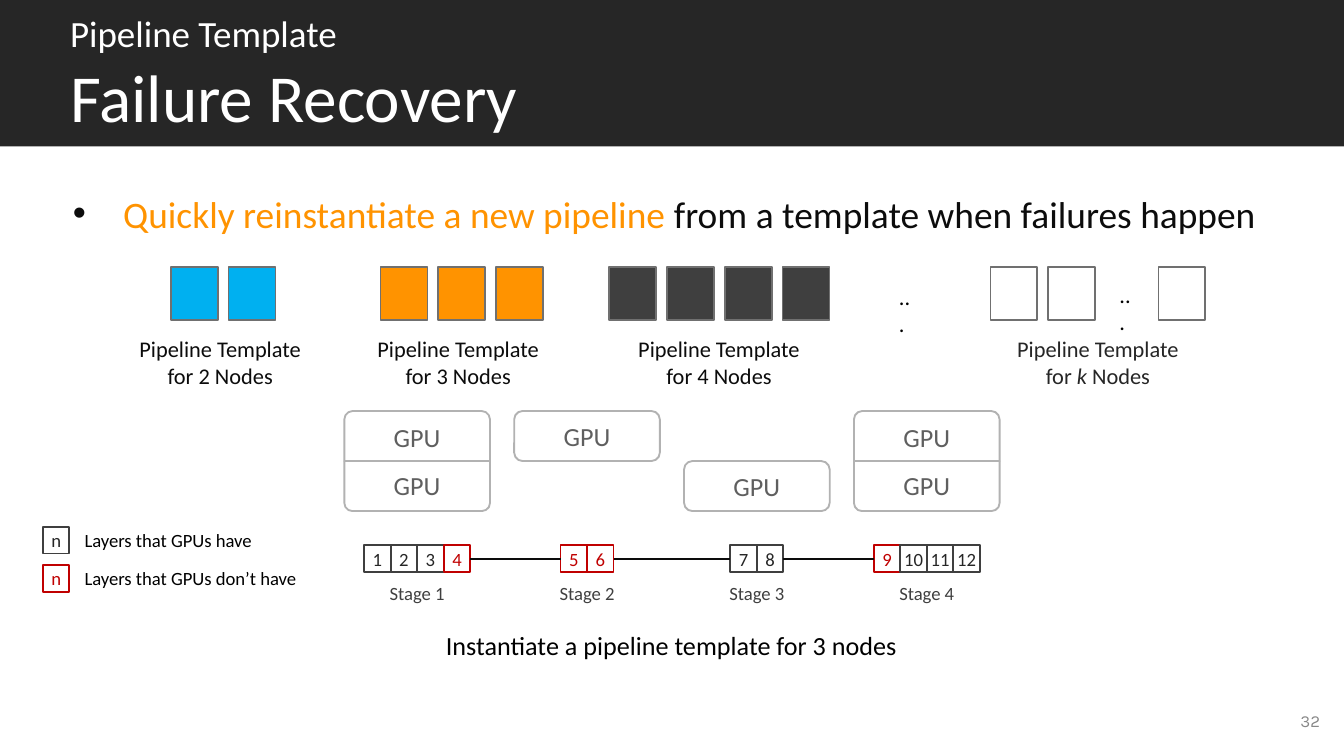
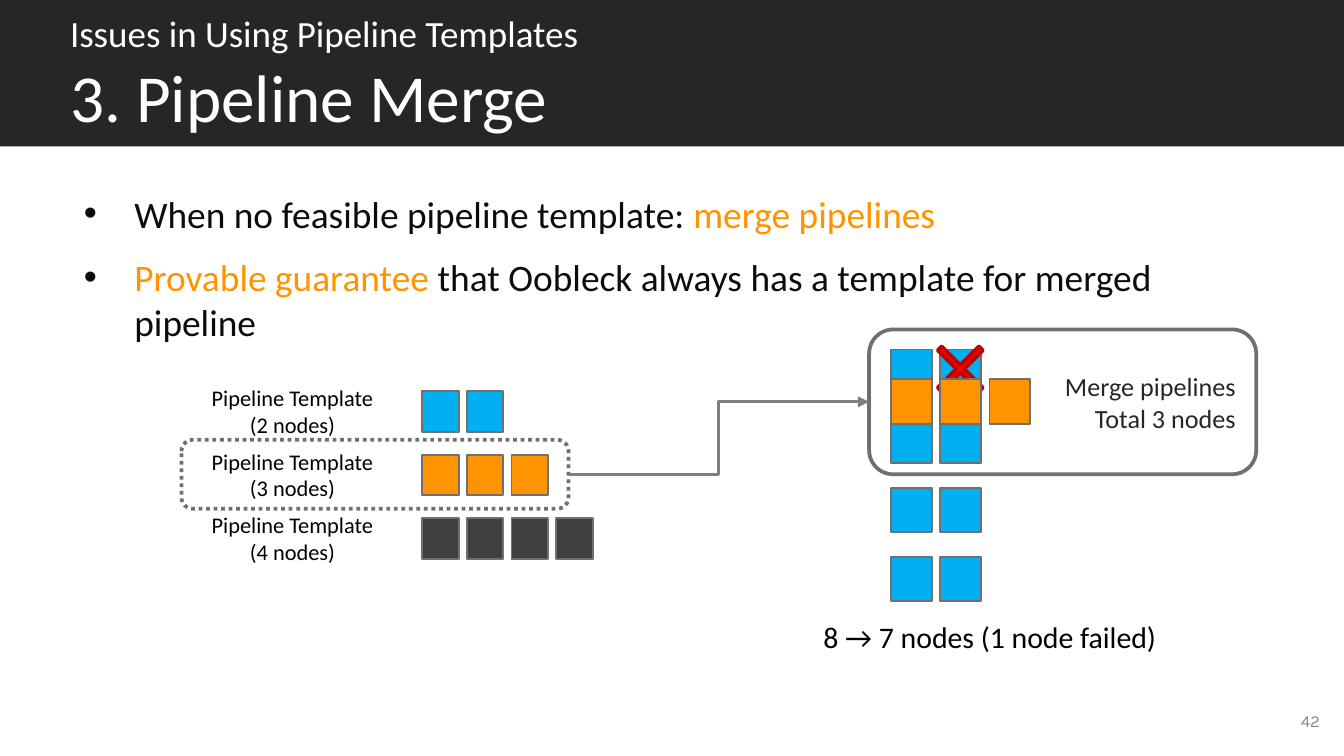
import pptx
import pptx.util
import pptx.dml.color
import pptx.enum.dml
import pptx.enum.shapes
import pptx.enum.text
import pptx.oxml.ns
import lxml.etree

Pt = pptx.util.Pt
RGB = pptx.dml.color.RGBColor
SHAPE = pptx.enum.shapes.MSO_SHAPE
LINK = pptx.enum.shapes.MSO_CONNECTOR
ALIGN = pptx.enum.text.PP_ALIGN
ANCHOR = pptx.enum.text.MSO_ANCHOR
DASH = pptx.enum.dml.MSO_LINE
qn = pptx.oxml.ns.qn
sub = lxml.etree.SubElement

# Colours
BLACK = RGB(0, 0, 0)
INK = RGB(0x0C, 0x0C, 0x0C)
BAND = RGB(0x26, 0x26, 0x26)
DARK = RGB(0x3F, 0x3F, 0x3F)
EDGE = RGB(0x70, 0x70, 0x70)
ARROW = RGB(0x7F, 0x7F, 0x7F)
FOOT = RGB(0x88, 0x88, 0x88)
PALE = RGB(0xB2, 0xB2, 0xB2)
STEEL = RGB(0x5F, 0x5F, 0x5F)
WHITE = RGB(255, 255, 255)
BLUE = RGB(0, 0xB0, 0xF0)
ORANGE = RGB(0xFF, 0x93, 0)
RED = RGB(0xFF, 0, 0)
CRIMSON = RGB(0xC0, 0, 0)

# Content: underscores mark accented words
HEADS = [
    dict(top="Pipeline Template", main="Failure Recovery", page="32", indent=27,
         points=["_Quickly reinstantiate a new pipeline_ from a template when failures happen"]),
    dict(top="Issues in Using Pipeline Templates", main="3. Pipeline Merge",
         page="42", indent=33,
         points=["When no feasible pipeline template: _merge pipelines_",
                 "_Provable guarantee_ that Oobleck always has a template for merged pipeline"]),
]
# Label centre, label, label colour, fill, left edges of the node squares
STEP = 31
KINDS = [
    (118, "2", INK, BLUE, [91.4 + STEP * i for i in range(2)]),
    (245.5, "3", INK, ORANGE, [203.8 + STEP * i for i in range(3)]),
    (385.2, "4", INK, DARK, [326.2 + STEP * i for i in range(4)]),
    (588.2, "_k_", BAND, WHITE, [530.6, 530.6 + STEP, 620.6]),
]
DOTS = [(474.5, 148.3), (592.6, 146.9)]
# Layers of each stage, and the GPU rows in use (0 upper, 1 lower)
STAGES = [([1, 2, 3, 4], [0, 1]), ([5, 6], [0]), ([7, 8], [1]), ([9, 10, 11, 12], [0, 1])]
LOST = {4, 5, 6, 9}
KEYS = [("Layers that GPUs have", DARK, BAND), ("Layers that GPUs don’t have", CRIMSON, CRIMSON)]
PLANS = [(2, BLUE), (3, ORANGE), (4, DARK)]
PIPES = 4


def write(shape, texts, size, ink, align=ALIGN.CENTER, accent=None, wrap=True,
          font="Calibri", anchor=ANCHOR.MIDDLE, indent=None):
    """Fill a shape; accented words take the accent colour, or italics."""
    frame = shape.text_frame
    frame.word_wrap = wrap
    frame.vertical_anchor = anchor
    for i, text in enumerate(texts):
        para = frame.add_paragraph() if i else frame.paragraphs[0]
        head, *rest = text.split("_")
        para.text = head
        marks = []
        for j, piece in enumerate(rest):
            if piece:
                run = para.add_run()
                run.text = piece
                if j % 2 == 0:
                    marks.append(run)
        para.alignment = align
        if indent:
            bullet(para, indent)
        for run in para.runs:
            run.font.name, run.font.size = font, Pt(size)
            run.font.color.rgb = ink
        for run in marks:
            if accent is None:
                run.font.italic = True
            else:
                run.font.color.rgb = accent
        for gap in para._p.findall(qn("a:br")):
            sub(gap, qn("a:rPr"), sz=str(round(size * 100)))


def bullet(para, indent):
    para.space_after = Pt(10)
    props = para._p.get_or_add_pPr()
    props.set("marL", str(Pt(indent)))
    props.set("indent", str(-Pt(27)))
    sub(sub(props, qn("a:buClr")), qn("a:srgbClr"), val=str(INK))
    sub(props, qn("a:buFont"), typeface="Arial")
    sub(props, qn("a:buChar"), char="•")


def box(slide, kind, x, y, w, h, fill, edge, width=1):
    shape = slide.shapes.add_shape(kind, Pt(x), Pt(y), Pt(w), Pt(h))
    shape.shadow.inherit = False
    if fill is None:
        shape.fill.background()
    else:
        shape.fill.solid()
        shape.fill.fore_color.rgb = fill
    shape.line.color.rgb = edge
    shape.line.width = Pt(width)
    return shape


def note(slide, x, y, w, h, texts, size, ink, **style):
    style.setdefault("anchor", ANCHOR.TOP)
    area = slide.shapes.add_textbox(Pt(x), Pt(y), Pt(w), Pt(h))
    write(area, texts, size, ink, **style)
    return area


def inset(shape, left, top):
    frame = shape.text_frame
    frame.margin_left, frame.margin_right = Pt(left), Pt(5)
    frame.margin_top = frame.margin_bottom = Pt(top)


def line(slide, kind, ink, width, ends=(0, 0, 0, 0)):
    link = slide.shapes.add_connector(kind, *map(Pt, ends))
    link.line.color.rgb = ink
    link.line.width = Pt(width)
    sub(link._element.spPr, qn("a:effectLst"))
    return link


def cell(slide, x, y, text, edge, ink):
    shape = box(slide, SHAPE.RECTANGLE, x, y, CELL, 14.4, WHITE, edge)
    write(shape, [text], 10, ink, wrap=False)


def row(slide, lefts, y, w, h, fill):
    for x in lefts:
        box(slide, SHAPE.RECTANGLE, x, y, w, h, fill, EDGE)


def start(deck, head):
    """Add a slide with its title band, page number and bullets."""
    slide = deck.slides.add_slide(deck.slide_layouts[5])
    title = slide.shapes.title
    title.left, title.top, title.width, title.height = Pt(0), Pt(0), Pt(720), Pt(78.5)
    title.fill.solid()
    title.fill.fore_color.rgb = BAND
    write(title, [head["top"] + "\n" + head["main"]], 19.8, WHITE, align=ALIGN.LEFT)
    title.text_frame.paragraphs[0].runs[1].font.size = Pt(36)
    title.text_frame.auto_size = pptx.enum.text.MSO_AUTO_SIZE.NONE
    inset(title, 37.5, 3)
    body = note(slide, 34, 97.2, 651.6, 273, head["points"], 20, INK,
                align=ALIGN.LEFT, accent=ORANGE, indent=head["indent"])
    inset(body, 5, 5)
    page = note(slide, 544.3, 375.1, 167.8, 21.6, [head["page"]], 9, FOOT,
                align=ALIGN.RIGHT, font="Karla", anchor=ANCHOR.MIDDLE)
    inset(page, 5, 3)
    return slide


CELL = 14.2    # layer cell width
MID = 223.5    # centre of the first stage
PITCH = 91     # stage to stage


def recover(slide):
    # Template squares and labels
    for mid, count, ink, fill, lefts in KINDS:
        note(slide, mid - 52, 172.8, 104, 42.5, [f"Pipeline Template\nfor {count} Nodes"],
             12, ink, anchor=ANCHOR.MIDDLE)
        row(slide, lefts, 143.2, 25.2, 28.2, fill)
    for x, y in DOTS:
        note(slide, x, y, 22.3, 20.2, ["..."], 12, BLACK, align=ALIGN.LEFT)

    # Legend
    for i, (text, edge, ink) in enumerate(KEYS):
        y = 282.2 + 20.5 * i
        cell(slide, 23, y, "n", edge, ink)
        note(slide, 38.2, y - 2.4, 128, 19.4, [text], 10, BLACK, align=ALIGN.LEFT, wrap=False)

    # Stages with their GPUs, layers and links
    last = None
    for i, (layers, rows) in enumerate(STAGES):
        mid = MID + PITCH * i
        for r in rows:
            pair = len(rows) == 2
            kind = SHAPE.ROUND_2_SAME_RECTANGLE if pair else SHAPE.ROUNDED_RECTANGLE
            gpu = box(slide, kind, mid - 39, 220.2 + 26.8 * r, 78, 26.8, WHITE, PALE)
            if pair and r:
                gpu.adjustments[0], gpu.adjustments[1] = 0, 0.16
            write(gpu, ["GPU"], 14, STEEL)
        left = mid - CELL * len(layers) / 2
        for j, n in enumerate(layers):
            edge, ink = (CRIMSON, CRIMSON) if n in LOST else (DARK, BAND)
            cell(slide, left + CELL * j, 292.2, str(n), edge, ink)
        note(slide, mid - 22, 308, 44, 19.4, [f"Stage {i + 1}"], 10, DARK, wrap=False)
        if last:
            line(slide, LINK.STRAIGHT, INK, 0.75, (last, 299.4, left, 299.4))
        last = left + CELL * len(layers)
    note(slide, 187.2, 333.4, 345, 24.2, ["Instantiate a pipeline template for 3 nodes"], 14, BLACK)


def merge(slide):
    # Merge frame
    frame = box(slide, SHAPE.ROUNDED_RECTANGLE, 465.6, 176.5, 207.4, 77.6, WHITE, EDGE, 2)
    write(frame, ["Merge pipelines", "Total 3 nodes"], 14, BAND, align=ALIGN.RIGHT)

    # Templates, with the chosen one outlined
    for i, (count, fill) in enumerate(PLANS):
        row(slide, [226.2 + 23.9 * j for j in range(count)], 209.6 + 34 * i, 19.6, 21.8, fill)
        note(slide, 105.2, 202.3 + 34 * i, 103, 36,
             ["Pipeline Template", f"({count} nodes)"], 12, BLACK, wrap=False)
    pick = box(slide, SHAPE.ROUNDED_RECTANGLE, 97.2, 235.6, 207.4, 37, None, EDGE, 2)
    pick.line.dash_style = DASH.ROUND_DOT
    link = line(slide, LINK.ELBOW, ARROW, 1.5)
    link.begin_connect(pick, 3)
    link.end_connect(frame, 1)
    sub(link.line._get_or_add_ln(), qn("a:tailEnd"), type="triangle")

    # Running pipelines, the failed node and the merged pipeline
    lefts = [477.3 + 26.4 * j for j in range(3)]
    for i in range(PIPES):
        row(slide, lefts[:2], 187.2 + 37 * i, 21.8, 24, BLUE)
    cross = box(slide, SHAPE.MATH_MULTIPLY, 493.2, 176.4, 42.5, 42.5, RED, CRIMSON, 2)
    cross.adjustments[0] = 0.07
    row(slide, lefts, 203.2, 21.8, 24, ORANGE)
    note(slide, 432, 327.8, 196.6, 26.6, ["8 → 7 nodes (1 node failed)"], 16, BLACK, wrap=False)


def main():
    deck = pptx.Presentation()
    deck.slide_width, deck.slide_height = Pt(720), Pt(405)
    for head, draw in zip(HEADS, (recover, merge)):
        draw(start(deck, head))
    deck.save("out.pptx")


if __name__ == "__main__":
    main()
